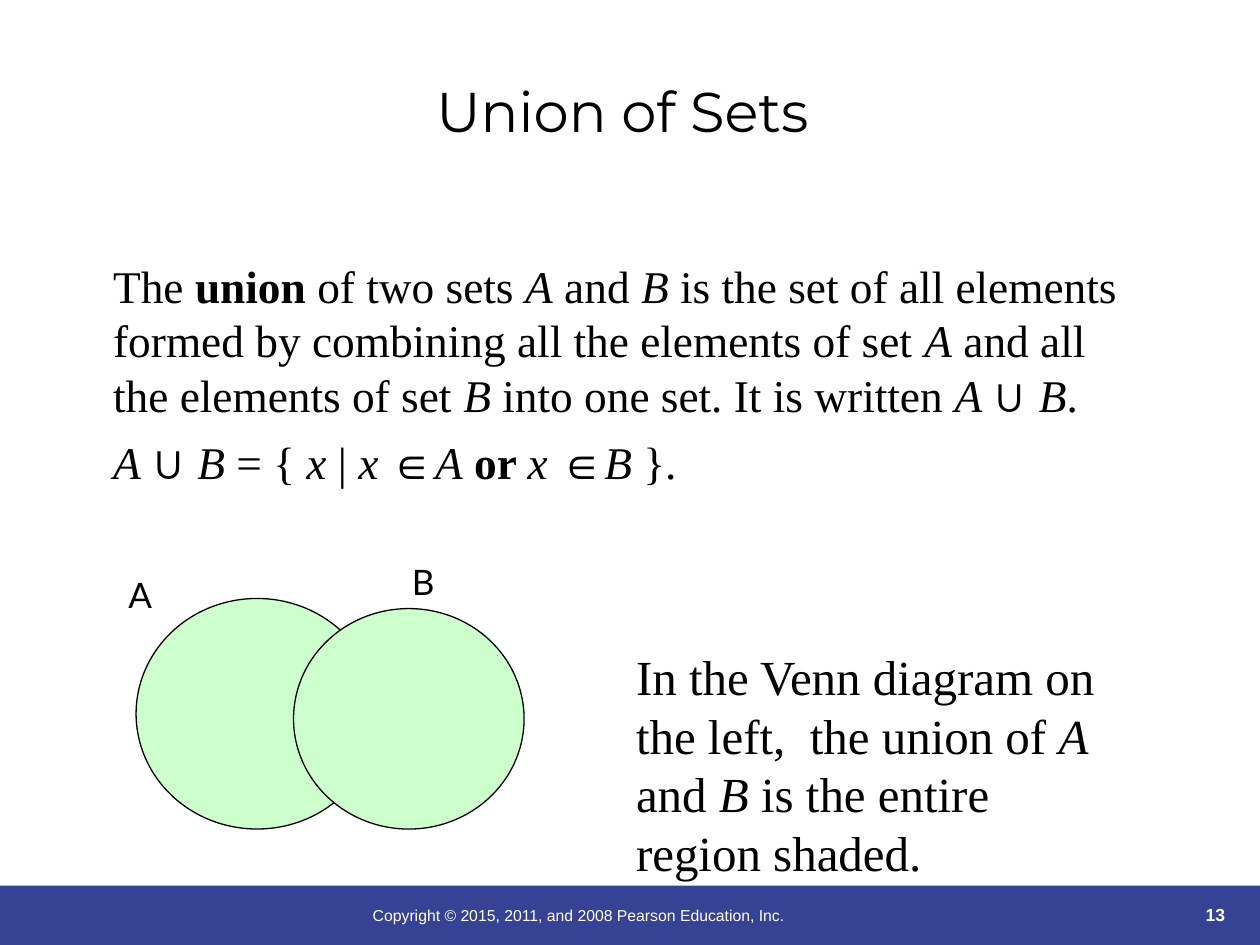
from dataclasses import dataclass

from pptx import Presentation
from pptx.dml.color import RGBColor
from pptx.enum.shapes import MSO_SHAPE
from pptx.enum.text import MSO_ANCHOR, PP_ALIGN
from pptx.util import Inches, Pt


@dataclass(frozen=True)
class Theme:
    ink: str = "000000"
    paper: str = "FFFFFF"
    band: str = "364395"
    shade: str = "CCFFCC"
    serif: str = "Times New Roman"
    sans: str = "Arial"
    label: str = "Lato"
    head: str = "Montserrat"
    title: float = 32
    body: float = 25.9
    note: float = 28
    tag: float = 20
    page: float = 10
    foot: float = 9


@dataclass(frozen=True)
class Box:
    left: float
    top: float
    width: float
    height: float

    def place(self) -> tuple:
        return tuple(Inches(n) for n in (self.left, self.top, self.width, self.height))


@dataclass(frozen=True)
class Part:
    text: str
    bold: bool = False
    slant: bool = False
    font: str = ""


@dataclass(frozen=True)
class Block:
    box: Box
    lines: tuple
    size: float
    font: str
    color: str
    align: PP_ALIGN = PP_ALIGN.LEFT
    anchor: MSO_ANCHOR = MSO_ANCHOR.TOP
    gap: float = 0


THEME = Theme()
A, B = Part("A", slant=True), Part("B", slant=True)
X = Part("x ", slant=True)
AND = Part(" and ")
CUP = Part("∪ ", font=THEME.sans)
ELEM = Part("∈", font=THEME.sans)

BODY = (
    (Part("The "), Part("union", bold=True), Part(" of two sets "), A, AND, B,
     Part(" is the set of all elements formed by combining all the elements of set "),
     A, Part(" and all the elements of set "), B,
     Part(" into one set. It is written "), A, Part(" "), CUP, B, Part(".")),
    (A, Part(" "), CUP, B, Part(" = { "), X, Part("| "), X, ELEM, A,
     Part(" or ", bold=True), X, ELEM, B, Part(" }.")),
)
NOTE = ((Part("In the Venn diagram on the left,  the union of "), A, AND, B,
         Part(" is the entire region shaded.")),)
FOOT = ((Part("Copyright © 2015, 2011, and 2008 Pearson Education, Inc."),),)

BLOCKS = (
    Block(Box(8.9, 6.89, 0.92, 0.5), ((Part("13", bold=True),),), THEME.page,
          THEME.sans, THEME.paper, PP_ALIGN.RIGHT, MSO_ANCHOR.BOTTOM),
    Block(Box(2.86, 7.14, 4.92, 0.5), FOOT, THEME.foot, THEME.sans, THEME.paper),
    Block(Box(0.8, 2, 8.24, 2.25), BODY, THEME.body, THEME.serif, THEME.ink, gap=7),
    Block(Box(0.92, 4.5, 0.67, 0.44), ((Part("A"),),), THEME.tag, THEME.label, THEME.ink),
    Block(Box(3.17, 4.4, 0.83, 0.44), ((Part("B"),),), THEME.tag, THEME.label, THEME.ink),
    Block(Box(4.95, 5.08, 4, 1.97), NOTE, THEME.note, THEME.serif, THEME.ink),
)
TITLE = Block(Box(0.75, 0.25, 8.5, 1.25), ((Part("Union of Sets "),),), THEME.title,
              THEME.head, THEME.ink, PP_ALIGN.CENTER, MSO_ANCHOR.MIDDLE)
RINGS = (Box(1.08, 4.75, 1.92, 1.83), Box(2.33, 4.83, 1.83, 1.75))


def write(shape, block: Block) -> None:
    """Fill a text shape with the styled lines of a block."""
    frame = shape.text_frame
    frame.word_wrap = True
    frame.vertical_anchor = block.anchor
    for row, parts in enumerate(block.lines):
        para = frame.add_paragraph() if row else frame.paragraphs[0]
        para.alignment = block.align
        para.space_before = Pt(block.gap if row else 0)
        for part in parts:
            run = para.add_run()
            run.text = part.text
            font = run.font
            font.name = part.font or block.font
            font.size = Pt(block.size)
            font.bold = part.bold
            font.italic = part.slant
            font.color.rgb = RGBColor.from_string(block.color)


def draw(slide, kind: MSO_SHAPE, box: Box, fill: str, line: str = "") -> None:
    """Add a filled shape, outlined when a line colour is given."""
    shape = slide.shapes.add_shape(kind, *box.place())
    shape.shadow.inherit = False
    shape.fill.solid()
    shape.fill.fore_color.rgb = RGBColor.from_string(fill)
    if line:
        shape.line.color.rgb = RGBColor.from_string(line)
        shape.line.width = Pt(0.75)
    else:
        shape.line.fill.background()


def main() -> None:
    """Build the slide and save it."""
    deck = Presentation()
    deck.slide_width, deck.slide_height = Inches(10), Inches(7.5)
    slide = deck.slides.add_slide(deck.slide_layouts[5])
    title = slide.shapes.title
    title.left, title.top, title.width, title.height = TITLE.box.place()
    write(title, TITLE)
    draw(slide, MSO_SHAPE.RECTANGLE, Box(0, 7.03, 10, 0.5), THEME.band)
    for ring in RINGS:
        draw(slide, MSO_SHAPE.OVAL, ring, THEME.shade, THEME.ink)
    for block in BLOCKS:
        write(slide.shapes.add_textbox(*block.box.place()), block)
    deck.save("out.pptx")


if __name__ == "__main__":
    main()
